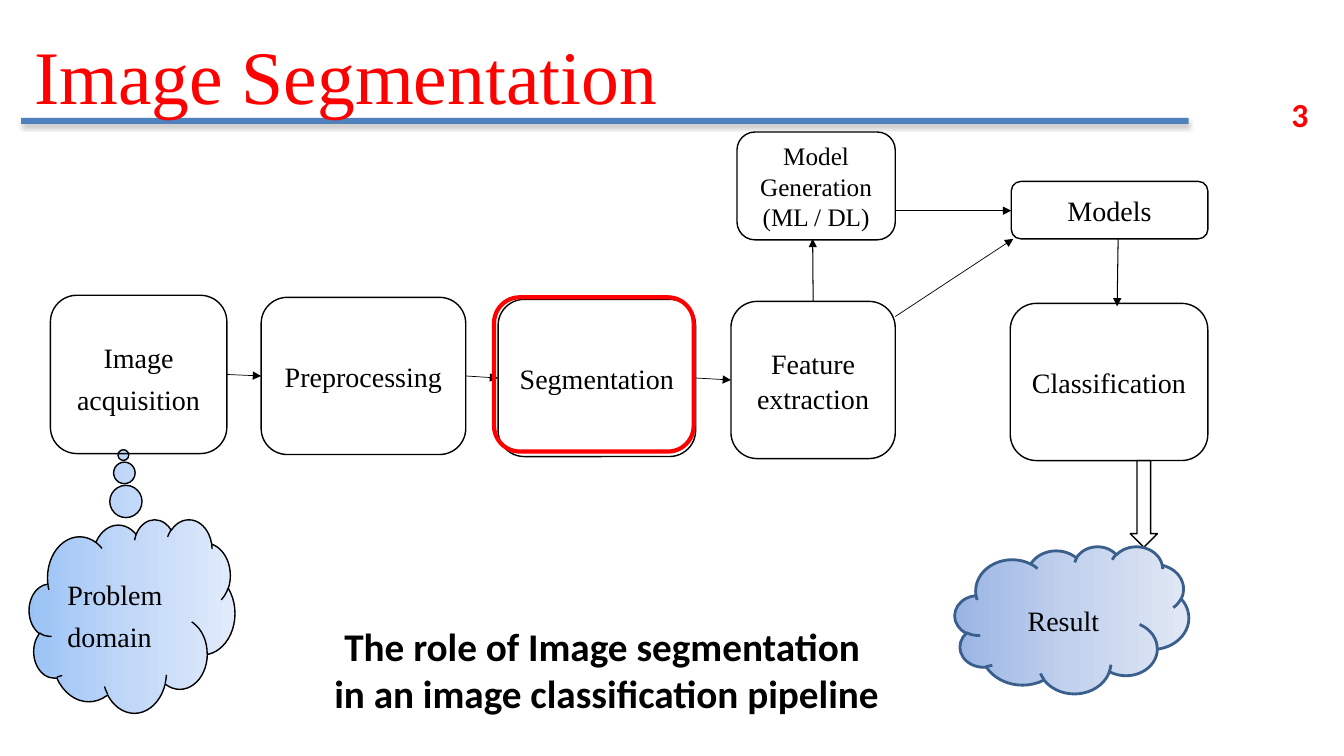
from lxml import etree
from pptx import Presentation
from pptx.dml.color import RGBColor
from pptx.enum.shapes import MSO_CONNECTOR, MSO_SHAPE
from pptx.enum.text import MSO_ANCHOR, MSO_AUTO_SIZE, PP_ALIGN
from pptx.oxml.ns import qn
from pptx.util import Inches, Pt

COLORS = {
    "black": "000000",
    "white": "FFFFFF",
    "red": "FF0000",
    "rule": "4F81BD",
    "cloud_line": "3A5F8C",
}
PROBLEM_GRADIENT = ["9AC3F5", "C2D8F8", "E1EBFB"]
RESULT_GRADIENT = ["9AB5E4", "C2D1ED", "E1E8F5"]
SERIF, SANS = "Times New Roman", "Calibri"
TOP, LEFT, BOTTOM, RIGHT = range(4)


def color(name):
    return RGBColor.from_string(COLORS[name])


def write(frame, lines, size, font=SERIF, ink="black", bold=False,
          align=PP_ALIGN.CENTER, spacing=None, after=None):
    """Fill a text frame with one paragraph per line."""
    for index, line in enumerate(lines):
        paragraph = frame.paragraphs[0] if index == 0 else frame.add_paragraph()
        paragraph.alignment = align
        paragraph.line_spacing = spacing
        if after:
            paragraph.space_after = Pt(after)
        run = paragraph.add_run()
        run.text = line
        run.font.name = font
        run.font.size = Pt(size)
        run.font.bold = bold
        run.font.color.rgb = color(ink)


def add_text(slide, box, lines, size, wrap=True, **style):
    frame = slide.shapes.add_textbox(*map(Inches, box)).text_frame
    frame.word_wrap = wrap
    if not wrap:
        frame.auto_size = MSO_AUTO_SIZE.SHAPE_TO_FIT_TEXT
    write(frame, lines, size, **style)


def add_shape(slide, kind, box, fill=None, line="black", width=1):
    shape = slide.shapes.add_shape(kind, *map(Inches, box))
    shape.shadow.inherit = False
    if fill:
        shape.fill.solid()
        shape.fill.fore_color.rgb = color(fill)
    else:
        shape.fill.background()
    if line:
        shape.line.color.rgb = color(line)
        shape.line.width = Pt(width)
    else:
        shape.line.fill.background()
    shape.text_frame.word_wrap = True
    shape.text_frame.vertical_anchor = MSO_ANCHOR.MIDDLE
    return shape


def add_box(slide, box, lines, size=20, fill=None, **style):
    shape = add_shape(slide, MSO_SHAPE.ROUNDED_RECTANGLE, box, fill)
    write(shape.text_frame, lines, size, **style)
    return shape


def add_cloud(slide, kind, box, text, gradient, align, line, width):
    shape = add_shape(slide, kind, box, line=line, width=width)
    shape.fill.gradient()
    shape.fill.gradient_angle = 0
    stops = next(shape.element.iter(qn("a:gsLst")))
    for stop in list(stops):
        stops.remove(stop)
    for index, value in enumerate(gradient):
        stop = etree.SubElement(stops, qn("a:gs"), pos=str(index * 50000))
        etree.SubElement(stop, qn("a:srgbClr"), val=value)
    write(shape.text_frame, [text], 20, align=align, spacing=1.25)
    return shape


def add_arrow(slide, start, end, width=0.5, source=None, target=None):
    """Draw an arrow; source and target are (shape, side) pairs to join."""
    arrow = slide.shapes.add_connector(
        MSO_CONNECTOR.STRAIGHT, *map(Inches, (*start, *end)))
    if source:
        arrow.begin_connect(*source)
    if target:
        arrow.end_connect(*target)
    arrow.line.color.rgb = color("black")
    arrow.line.width = Pt(width)
    etree.SubElement(arrow.line._get_or_add_ln(), qn("a:tailEnd"), type="triangle")
    etree.SubElement(arrow.element.spPr, qn("a:effectLst"))


def add_title_rule(slide):
    rule = add_shape(slide, MSO_SHAPE.RECTANGLE, (0.21, 1.17, 11.58, 0.06), "rule", None)
    effects = rule.element.spPr.find(qn("a:effectLst"))
    shadow = etree.SubElement(
        effects, qn("a:outerShdw"), blurRad=str(Pt(3.5)), dist=str(Pt(2.2)),
        dir="5400000", rotWithShape="0")
    shade = etree.SubElement(shadow, qn("a:srgbClr"), val=COLORS["black"])
    etree.SubElement(shade, qn("a:alpha"), val="32000")


def main():
    presentation = Presentation()
    presentation.slide_width = Inches(13.33)
    presentation.slide_height = Inches(7.5)
    slide = presentation.slides.add_slide(presentation.slide_layouts[6])

    # Heading
    add_title_rule(slide)
    add_text(slide, (12.71, 0.88, 0.59, 0.5), ["3"], 24, wrap=False,
             font=SANS, ink="red", bold=True, align=PP_ALIGN.LEFT)
    add_text(slide, (0.24, 0.24, 10.21, 0.94), ["Image Segmentation"], 54,
             ink="red", align=PP_ALIGN.LEFT)

    # Problem cloud
    problem = add_cloud(slide, MSO_SHAPE.CLOUD_CALLOUT, (0.29, 5.15, 2.04, 1.92),
                        "Problem domain", PROBLEM_GRADIENT, PP_ALIGN.JUSTIFY, "black", 1)
    problem.adjustments[0] = -0.042
    problem.adjustments[1] = -0.831

    # Pipeline, each step joined to the next
    stage = {"spacing": 1.05, "after": 8}
    acquisition = add_box(slide, (0.5, 2.93, 1.75, 1.57), ["Image acquisition"], spacing=1.25)
    preprocessing = add_box(slide, (2.59, 2.95, 2.03, 1.56), ["Preprocessing"], **stage)
    segmentation = add_box(slide, (4.94, 2.97, 1.96, 1.56), ["Segmentation"], **stage)
    feature = add_box(slide, (7.25, 2.99, 1.63, 1.56), ["Feature extraction"], **stage)
    steps = [acquisition, preprocessing, segmentation, feature]
    for step, following in zip(steps, steps[1:]):
        add_arrow(slide, (0, 0), (0, 0), source=(step, RIGHT), target=(following, LEFT))
    add_box(slide, (10.02, 3.01, 1.96, 1.56), ["Classification"], **stage)

    # Models
    add_box(slide, (7.31, 1.31, 1.57, 1.07), ["Model Generation", "(ML / DL)"], 18, "white")
    add_box(slide, (10.03, 1.8, 1.95, 0.57), ["Models"], fill="white")
    add_arrow(slide, (8.06, 2.99), (8.06, 2.37), 0.75, source=(feature, TOP))
    add_arrow(slide, (8.88, 3.14), (10.05, 2.37))
    add_arrow(slide, (8.88, 2.09), (10.03, 2.09))
    add_arrow(slide, (11.09, 2.37), (11.08, 3.04), 0.75)

    # Result
    add_shape(slide, MSO_SHAPE.DOWN_ARROW, (11.21, 4.57, 0.27, 0.86), "white")
    add_cloud(slide, MSO_SHAPE.CLOUD, (9.47, 5.42, 2.32, 1.46), "Result",
              RESULT_GRADIENT, PP_ALIGN.CENTER, "cloud_line", 2)

    # Highlight and caption
    add_shape(slide, MSO_SHAPE.ROUNDED_RECTANGLE, (4.9, 2.95, 1.98, 1.53),
              line="red", width=3)
    add_text(slide, (3.18, 6.12, 5.67, 1.04),
             ["The role of Image segmentation ", "in an image classification pipeline"],
             28, wrap=False, font=SANS, bold=True)

    presentation.save("out.pptx")


if __name__ == "__main__":
    main()
